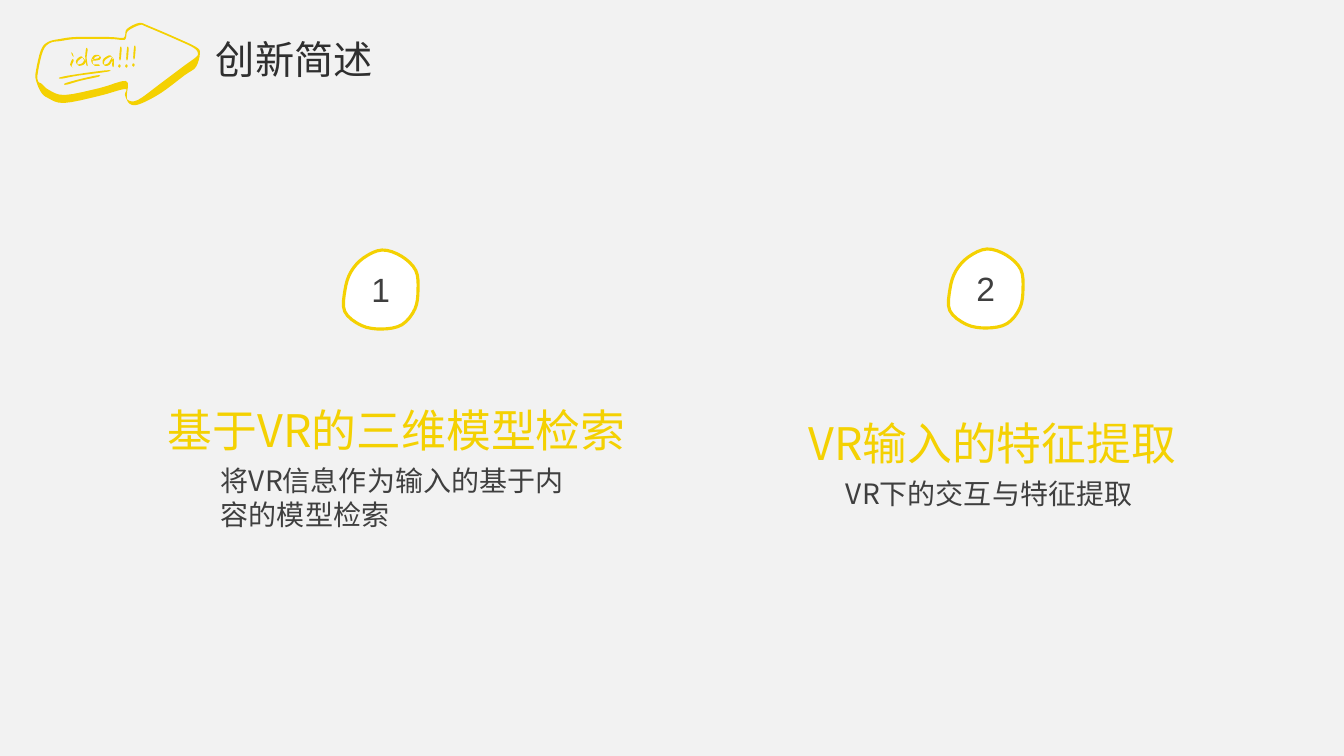
import math

import lxml.etree
import pptx
import pptx.dml.color
import pptx.enum.text
import pptx.oxml.ns
import pptx.util

PX = 12192000 / 1344
GOLD, WHITE, GREY, DARK = "F4D102", "FFFFFF", "3F3F3F", "2F2F2F"
SANS = "Noto Sans CJK JP"
MID = pptx.enum.text.PP_ALIGN.CENTER
LEFT = pptx.enum.text.PP_ALIGN.LEFT
STEPS = 4
rgb = pptx.dml.color.RGBColor.from_string


def trace(loops, fill):
    """Draw closed loops through px knots, smoothed as Catmull-Rom curves."""
    pen = None
    for knots in loops:
        dots = []
        for i in range(len(knots)):
            prev, start, end, after = (
                knots[(i + k) % len(knots)] for k in (-1, 0, 1, 2))
            for step in range(STEPS):
                t = step / STEPS
                dots.append([
                    PX * (b + t * (c - a) / 2
                          + t ** 2 * (2 * a - 5 * b + 4 * c - d) / 2
                          + t ** 3 * (3 * b - a - 3 * c + d) / 2)
                    for a, b, c, d in zip(prev, start, end, after)])
        if pen:
            pen.move_to(*dots[0])
        else:
            pen = slide.shapes.build_freeform(*dots[0])
        pen.add_line_segments(dots[1:], close=True)
    shape = pen.convert_to_shape()
    shape.shadow.inherit = False
    shape.fill.solid()
    shape.fill.fore_color.rgb = rgb(fill)
    return shape


def write(frame, text, size, face, ink, align):
    """Fill a text frame with one paragraph in one style."""
    para = frame.paragraphs[0]
    para.text = text
    para.alignment = align
    font = para.font
    font.size = pptx.util.Pt(size)
    font.color.rgb = rgb(ink)
    font.name = face
    lxml.etree.SubElement(font._element, pptx.oxml.ns.qn("a:ea"), typeface=face)


deck = pptx.Presentation()
deck.slide_width = round(1344 * PX)
deck.slide_height = round(756 * PX)
slide = deck.slides.add_slide(deck.slide_layouts[6])
slide.background.fill.solid()
slide.background.fill.fore_color.rgb = rgb("F2F2F2")

# Numbered badges: uneven radii at equal angles, clockwise from the top
radii = [40, 39, 39, 36, 38, 40, 39, 41, 43, 37, 36, 37]
turn = 2 * math.pi / len(radii)
for label, mid_x, mid_y in (("1", 382, 290), ("2", 987, 289)):
    badge = trace([[(mid_x + r * math.sin(i * turn),
                     mid_y - r * math.cos(i * turn))
                    for i, r in enumerate(radii)]], WHITE)
    badge.line.color.rgb = rgb(GOLD)
    badge.line.width = pptx.util.Pt(2.25)
    badge.text_frame.vertical_anchor = pptx.enum.text.MSO_ANCHOR.MIDDLE
    write(badge.text_frame, label, 24, "Arial", GREY, MID)

# Arrow body: each edge has its knots and the inset that leaves its rim;
# thin insets make the outline, deep ones the thick underside
tail = [(36, 80), (36, 71), (41, 50), (48, 42)], (2, 1)
top = [(60, 39), (76, 37), (109, 37), (122, 38), (125, 36), (127, 29),
       (139, 23)], (1, 2)
head = [(149, 26), (177, 38), (196, 47), (200, 53)], (-2, 1)
under = [(196, 67), (185, 75), (161, 93)], (-1, -9)
barb = [(140, 104), (130, 104)], (-2, -4)
notch = [(125, 95)], (2, -1)
base = [(125, 89), (99, 96), (64, 103), (48, 98), (41, 92)], (1, -8)
rim, hollow = [], []
for knots, (dx, dy) in (tail, top, head, under, barb, notch, base):
    rim += knots
    hollow += [(x + dx, y + dy) for x, y in knots]

# Handwriting: centre lines of the pen strokes
strokes = [
    [(72, 53), (73, 56)], [(73, 60), (71, 65), (72, 67)],              # i
    [(85, 61), (82, 57), (77, 61), (78, 65), (83, 64), (85, 61)],      # d
    [(87, 49), (86, 57), (87, 65)],
    [(93, 60), (99, 59), (100, 56), (95, 56), (92, 61), (94, 65),
     (99, 65)],                                                        # e
    [(113, 58), (110, 56), (104, 60), (104, 65), (109, 64), (113, 58),
     (113, 66)],                                                       # a
    [(61, 78), (77, 75), (107, 71)], [(66, 84), (80, 80), (98, 76)],   # lines
]
for x, y in ((121, 48), (128, 48), (135, 47)):                         # !!!
    strokes += [[(x, y), (x - 1, y + 11)], [(x - 1, y + 17), (x - 2, y + 19)]]

# A slanted nib widens each stroke: out along one side, back along the other
nib = 0.7
ink = [[(x + nib, y + nib) for x, y in line]
       + [(x - nib, y - nib) for x, y in reversed(line)] for line in strokes]
arrow = trace([rim, hollow, *ink], GOLD)
arrow.line.fill.background()

# Title, then a heading with its note for each idea
texts = [("创新简述", 206, 30, 557, 57, 28, DARK, LEFT)]
for name, name_x, name_y, align, note, note_x, note_h in (
    ("基于VR的三维模型检索", 158, 398, LEFT,
     "将VR信息作为输入的基于内容的模型检索", 211, 78),
    ("VR输入的特征提取", 732, 411, MID,
     "VR下的交互与特征提取", 836, 44),
):
    texts += [(name, name_x, name_y, 521, 65, 32, GOLD, align),
              (note, note_x, name_y + 61, 386, note_h, 20, GREY, LEFT)]
for text, x, y, width, height, size, color, align in texts:
    box = slide.shapes.add_textbox(
        *(round(n * PX) for n in (x, y, width, height)))
    box.text_frame.word_wrap = True
    box.text_frame.auto_size = pptx.enum.text.MSO_AUTO_SIZE.SHAPE_TO_FIT_TEXT
    write(box.text_frame, text, size, SANS, color, align)

deck.save("out.pptx")
